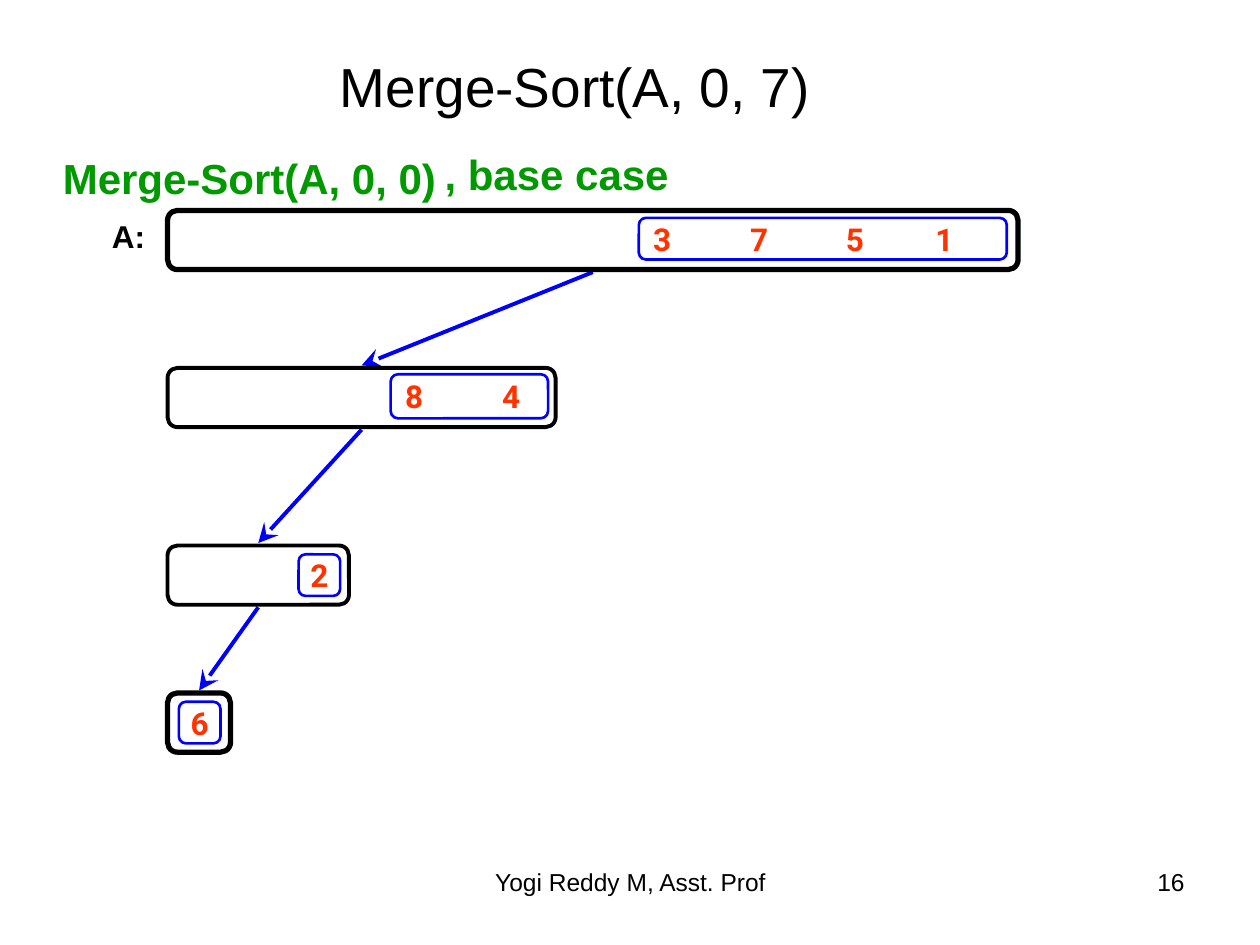
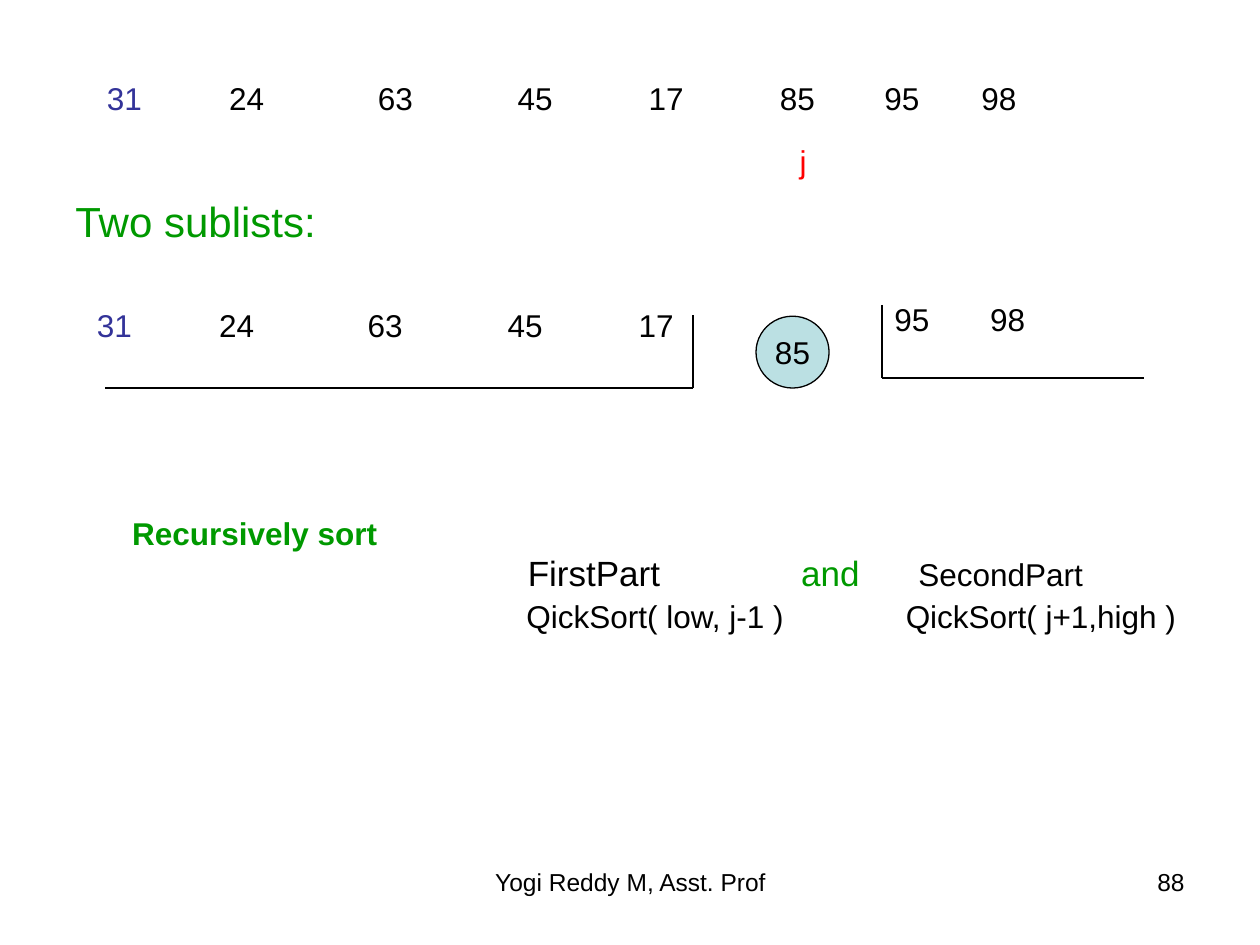
import pptx
import pptx.util
from lxml import etree
from pptx.dml.color import RGBColor
from pptx.enum.shapes import MSO_CONNECTOR, MSO_SHAPE
from pptx.enum.text import MSO_ANCHOR, PP_ALIGN
from pptx.oxml.ns import qn
from pptx.util import Inches

BLACK = RGBColor(0x00, 0x00, 0x00)
WHITE = RGBColor(0xFF, 0xFF, 0xFF)
BLUE = RGBColor(0x00, 0x00, 0xFF)
GREEN = RGBColor(0x00, 0x99, 0x00)
RED = RGBColor(0xFF, 0x00, 0x00)
DIGIT_RED = RGBColor(0xFF, 0x33, 0x00)
PIVOT_BLUE = RGBColor(0x33, 0x33, 0x99)
PALE_TEAL = RGBColor(0xBB, 0xE0, 0xE3)

AUTHOR = "Yogi Reddy M, Asst. Prof"
DIGIT_TABS = (0.77, 1.53, 2.24)
LIST_TABS = (0.97, 2.15, 3.26, 4.3, 5.34, 6.17, 6.94)


# Text
def write_text(frame, text, *, size=18, color=BLACK, bold=False, font="Arial",
               align=PP_ALIGN.LEFT, anchor=MSO_ANCHOR.TOP, wrap=True, tabs=(),
               more=False):
    """Write one paragraph; text is a string or a list of (text, format) runs."""
    frame.word_wrap = wrap
    frame.vertical_anchor = anchor
    paragraph = frame.add_paragraph() if more else frame.paragraphs[0]
    if tabs:
        stops = etree.SubElement(paragraph._p.get_or_add_pPr(), qn("a:tabLst"))
        for stop in tabs:
            etree.SubElement(stops, qn("a:tab"), pos=str(Inches(stop)), algn="l")
    paragraph.alignment = align
    for words, own in [(text, {})] if isinstance(text, str) else text:
        run = paragraph.add_run()
        run.text = words
        run.font.name = font
        run.font.size = pptx.util.Pt(own.get("size", size))
        run.font.bold = bold
        run.font.color.rgb = own.get("color", color)


def add_text(slide, at, text, **style):
    frame = slide.shapes.add_textbox(*map(Inches, at)).text_frame
    write_text(frame, text, **style)
    return frame


# Shapes and lines
def add_box(slide, kind, at, line, width, fill=None):
    box = slide.shapes.add_shape(kind, *map(Inches, at))
    box.shadow.inherit = False
    if fill is None:
        box.fill.background()
    else:
        box.fill.solid()
        box.fill.fore_color.rgb = fill
    box.line.color.rgb = line
    box.line.width = pptx.util.Pt(width)
    return box.text_frame


def add_line(slide, start, end, color=BLACK, width=0.75, arrow=False):
    line = slide.shapes.add_connector(MSO_CONNECTOR.STRAIGHT,
                                      *map(Inches, (*start, *end)))
    line.line.color.rgb = color
    line.line.width = pptx.util.Pt(width)
    if arrow:
        etree.SubElement(line.get_or_add_ln(), qn("a:tailEnd"),
                         type="stealth", w="lg", len="lg")
    etree.SubElement(line._element.spPr, qn("a:effectLst"))


def add_corner(slide, *points):
    for start, end in zip(points, points[1:]):
        add_line(slide, start, end)


def add_footer(slide, number):
    add_text(slide, (3.42, 6.83, 3.17, 0.52), AUTHOR, size=14, align=PP_ALIGN.CENTER)
    add_text(slide, (7.17, 6.83, 2.33, 0.52), number, size=14, align=PP_ALIGN.RIGHT)


# Merge sort: each level splits the array above it
def build_merge_sort(slide):
    left, height, gap = 1.33, 0.47, 0.02
    # top, width and border of the array, then its right half and digits
    levels = [
        (1.67, 6.75, 3, (5.07, 1.73, 2.92, 0.33), "3751"),
        (2.92, 3.08, 2.25, (3.1, 2.97, 1.25, 0.35), "84"),
        (4.33, 1.44, 2.25, (2.37, 4.4, 0.33, 0.33), "2"),
        (5.5, 0.5, 3, (1.42, 5.57, 0.33, 0.33), "6"),
    ]
    for upper, lower in zip(levels, levels[1:]):
        add_line(slide, (left + upper[1] / 2, upper[0] + height + gap),
                 (left + lower[1] / 2, lower[0] - gap), BLUE, 2.25, arrow=True)
    for top, width, border, half, digits in levels:
        add_box(slide, MSO_SHAPE.ROUNDED_RECTANGLE, (left, top, width, height),
                BLACK, border)
        frame = add_box(slide, MSO_SHAPE.ROUNDED_RECTANGLE, half, BLUE, 1.5)
        several = len(digits) > 1
        write_text(frame, "\t".join(digits), font="Roboto", color=DIGIT_RED,
                   bold=True, anchor=MSO_ANCHOR.MIDDLE, wrap=several,
                   align=PP_ALIGN.LEFT if several else PP_ALIGN.CENTER,
                   tabs=DIGIT_TABS[:len(digits) - 1])

    add_text(slide, (0.4, 1.16, 3.56, 0.5), "Merge-Sort(A, 0, 0)",
             size=24, color=GREEN, bold=True)
    add_text(slide, (3.43, 1.13, 2.43, 0.5), ", base case",
             size=24, color=GREEN, bold=True)
    add_text(slide, (0.79, 1.67, 0.54, 0.4), "A:", bold=True)
    add_text(slide, (0.44, 0.35, 8.25, 0.64), "Merge-Sort(A, 0, 7)", size=31.4,
             align=PP_ALIGN.CENTER, anchor=MSO_ANCHOR.BOTTOM)


# Quick sort: the list split around its pivot
def build_quick_sort(slide):
    pivot = ("31", {"color": PIVOT_BLUE})
    add_text(slide, (0.75, 0.58, 7.91, 0.7),
             [pivot, ("\t24\t63\t45\t17\t85\t95\t98", {})], tabs=LIST_TABS)
    add_text(slide, (0.5, 1.5, 4.33, 0.5), "Two sublists:", size=24, color=GREEN)

    # Sublists with their corner lines
    add_text(slide, (0.67, 2.38, 5.33, 0.7),
             [pivot, ("\t24\t63\t45\t17", {})], tabs=LIST_TABS[:4])
    add_text(slide, (7, 2.33, 2.25, 0.7), "95\t98", tabs=(0.76,))
    add_corner(slide, (5.5, 2.5), (5.5, 3.08), (0.83, 3.08))
    add_corner(slide, (7, 2.42), (7, 3), (9.08, 3))

    # Recursive calls
    calls = add_text(slide, (0.95, 4.03, 8.71, 2), "Recursively sort",
                     color=GREEN, bold=True)
    write_text(calls, [("\tFirstPart\t", {}), ("and\t", {"color": GREEN}),
                       ("SecondPart", {"size": 18})],
               size=20, tabs=(3.14, 5.31, 6.24), more=True)
    write_text(calls, [("\t", {"size": 20}),
                       ("QickSort( low, j-1 )\tQickSort( j+1,high )", {})],
               tabs=(3.13, 6.14), more=True)

    # Index marker and the placed pivot
    centred = {"align": PP_ALIGN.CENTER, "anchor": MSO_ANCHOR.MIDDLE, "wrap": False}
    marker = add_box(slide, MSO_SHAPE.RECTANGLE, (5.96, 1.1, 0.83, 0.35),
                     WHITE, 0.75, WHITE)
    write_text(marker, "j", color=RED, **centred)
    placed = add_box(slide, MSO_SHAPE.OVAL, (6, 2.51, 0.58, 0.57),
                     BLACK, 0.75, PALE_TEAL)
    write_text(placed, "85", **centred)


def main():
    deck = pptx.Presentation()
    deck.slide_width, deck.slide_height = Inches(10), Inches(7.5)
    for build, number in ((build_merge_sort, "16"), (build_quick_sort, "88")):
        slide = deck.slides.add_slide(deck.slide_layouts[6])
        build(slide)
        add_footer(slide, number)
    deck.save("out.pptx")


if __name__ == "__main__":
    main()
